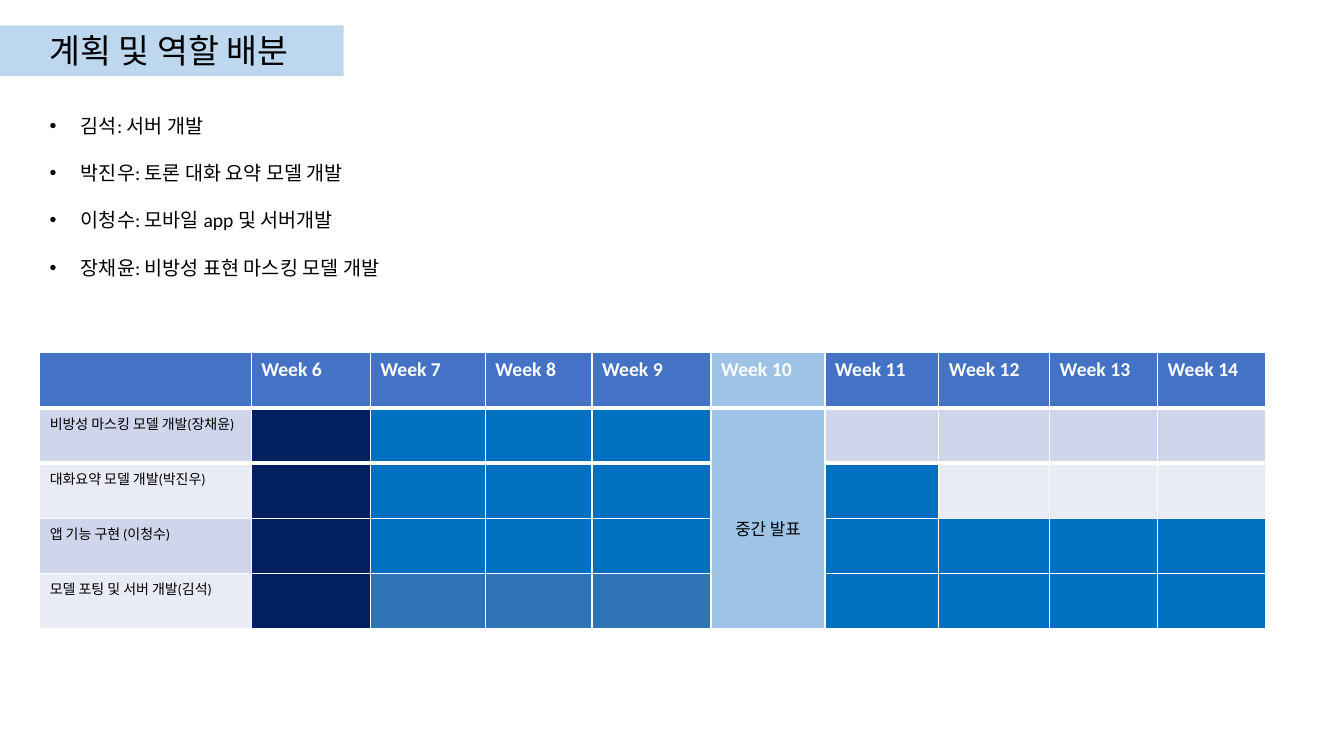
from lxml.etree import Element, SubElement
from pptx import Presentation
from pptx.dml.color import RGBColor
from pptx.enum.shapes import MSO_SHAPE
from pptx.enum.text import MSO_ANCHOR, PP_ALIGN
from pptx.oxml.ns import qn
from pptx.util import Cm, Pt

COLORS = {
    "black": "000000", "white": "FFFFFF", "title band": "BDD7EE",
    "header": "4472C4", "midterm": "9DC3E6",
    "odd row": "CFD5EA", "even row": "E9EBF5",
    "done": "002060", "planned": "0070C0", "porting": "2E75B6",
}
TITLE_FONT, BODY_FONT = "Noto Sans CJK KR", "Calibri"

FORMATS = {
    "title": {"size": Pt(24), "name": TITLE_FONT},
    "role": {"size": Pt(14), "name": BODY_FONT},
    "week": {"size": Pt(14), "name": BODY_FONT, "bold": True},
    "task": {"size": Pt(10), "name": BODY_FONT, "bold": False},
    "midterm": {"size": Pt(12), "name": BODY_FONT, "bold": False},
}

ROLES = [
    "김석: 서버 개발",
    "박진우: 토론 대화 요약 모델 개발",
    "이청수: 모바일 app 및 서버개발",
    "장채윤: 비방성 표현 마스킹 모델 개발",
]

WEEKS = range(6, 15)
MIDTERM_WEEK = 10
COLUMN_WIDTHS = [5.33, 3, 2.9, 2.69, 3, 2.87, 2.87, 2.79, 2.72, 2.72]

# Task, colour of weeks 7 to 9, last week of work
TASKS = [
    ("비방성 마스킹 모델 개발(장채윤)", "planned", 9),
    ("대화요약 모델 개발(박진우)", "planned", 11),
    ("앱 기능 구현 (이청수)", "planned", 14),
    ("모델 포팅 및 서버 개발(김석)", "porting", 14),
]


def rgb(name):
    return RGBColor.from_string(COLORS[name])


def fill_solid(target, color):
    target.fill.solid()
    target.fill.fore_color.rgb = rgb(color)


def write(paragraph, text, style, color="black"):
    run = paragraph.add_run()
    run.text = text
    for attribute, value in FORMATS[style].items():
        setattr(run.font, attribute, value)
    run.font.color.rgb = rgb(color)


def add_text_frame(slide, left, top, width, height):
    text_frame = slide.shapes.add_textbox(left, top, width, height).text_frame
    text_frame.word_wrap = True
    return text_frame


def add_title(slide, left, top, width, height):
    # Band from the slide edge, with the title inset on it
    band = slide.shapes.add_shape(MSO_SHAPE.RECTANGLE, left, top, width, height)
    band.shadow.inherit = False
    fill_solid(band, "title band")
    band.line.fill.background()
    text_frame = add_text_frame(slide, left + Cm(1), top, Cm(19.56), height)
    write(text_frame.paragraphs[0], "계획 및 역할 배분", "title")


def add_roles(slide, left, top, width, height):
    text_frame = add_text_frame(slide, left, top, width, height)
    for index, role in enumerate(ROLES):
        paragraph = text_frame.add_paragraph() if index else text_frame.paragraphs[0]
        if index:
            paragraph.space_before = Pt(17)
        properties = paragraph._p.get_or_add_pPr()
        properties.set("marL", str(Cm(0.79)))
        properties.set("indent", str(-Cm(0.79)))
        SubElement(properties, qn("a:buFont"), typeface="Arial")
        SubElement(properties, qn("a:buChar"), char="•")
        write(paragraph, role, "role")


def set_border(cell, side, width):
    line = Element(qn(f"a:{side}"), w=str(width))
    fill = SubElement(line, qn("a:solidFill"))
    SubElement(fill, qn("a:srgbClr"), val=COLORS["white"])
    cell._tc.get_or_add_tcPr().insert(0, line)


def week_color(week, row, early_color, last_week):
    if week == WEEKS[0]:
        return "done"
    if week == MIDTERM_WEEK:
        return "midterm"
    if week > last_week:
        return "odd row" if row % 2 else "even row"
    return early_color if week < MIDTERM_WEEK else "planned"


def add_schedule(slide, left, top, width, height):
    table = slide.shapes.add_table(
        len(TASKS) + 1, len(COLUMN_WIDTHS), left, top, width, height).table
    for column, column_width in zip(table.columns, COLUMN_WIDTHS):
        column.width = Cm(column_width)

    # Header row
    fill_solid(table.cell(0, 0), "header")
    for column, week in enumerate(WEEKS, 1):
        cell = table.cell(0, column)
        fill_solid(cell, "midterm" if week == MIDTERM_WEEK else "header")
        paragraph = cell.text_frame.paragraphs[0]
        paragraph.alignment = PP_ALIGN.JUSTIFY
        write(paragraph, f"Week {week}", "week", "white")

    # Task rows
    for row, (task, early_color, last_week) in enumerate(TASKS, 1):
        label = table.cell(row, 0)
        fill_solid(label, "odd row" if row % 2 else "even row")
        write(label.text_frame.paragraphs[0], task, "task")
        for column, week in enumerate(WEEKS, 1):
            fill_solid(table.cell(row, column),
                       week_color(week, row, early_color, last_week))

    # Thick rule under the header
    for column in range(len(COLUMN_WIDTHS)):
        set_border(table.cell(0, column), "lnB", Pt(3))
        set_border(table.cell(1, column), "lnT", Pt(3))

    # Midterm presentation across all tasks
    midterm_column = WEEKS.index(MIDTERM_WEEK) + 1
    midterm = table.cell(1, midterm_column)
    midterm.merge(table.cell(len(TASKS), midterm_column))
    midterm.vertical_anchor = MSO_ANCHOR.MIDDLE
    midterm.margin_top = Cm(0.64)
    paragraph = midterm.text_frame.paragraphs[0]
    paragraph.alignment = PP_ALIGN.CENTER
    write(paragraph, "중간 발표", "midterm")


def main():
    presentation = Presentation()
    presentation.slide_width, presentation.slide_height = Cm(33.87), Cm(19.05)
    slide = presentation.slides.add_slide(presentation.slide_layouts[6])
    add_title(slide, Cm(0), Cm(0.64), Cm(8.66), Cm(1.28))
    add_roles(slide, Cm(1), Cm(2.74), Cm(21.26), Cm(4.45))
    add_schedule(slide, Cm(1), Cm(8.89), Cm(30.89), Cm(6.95))
    presentation.save("out.pptx")


if __name__ == "__main__":
    main()
